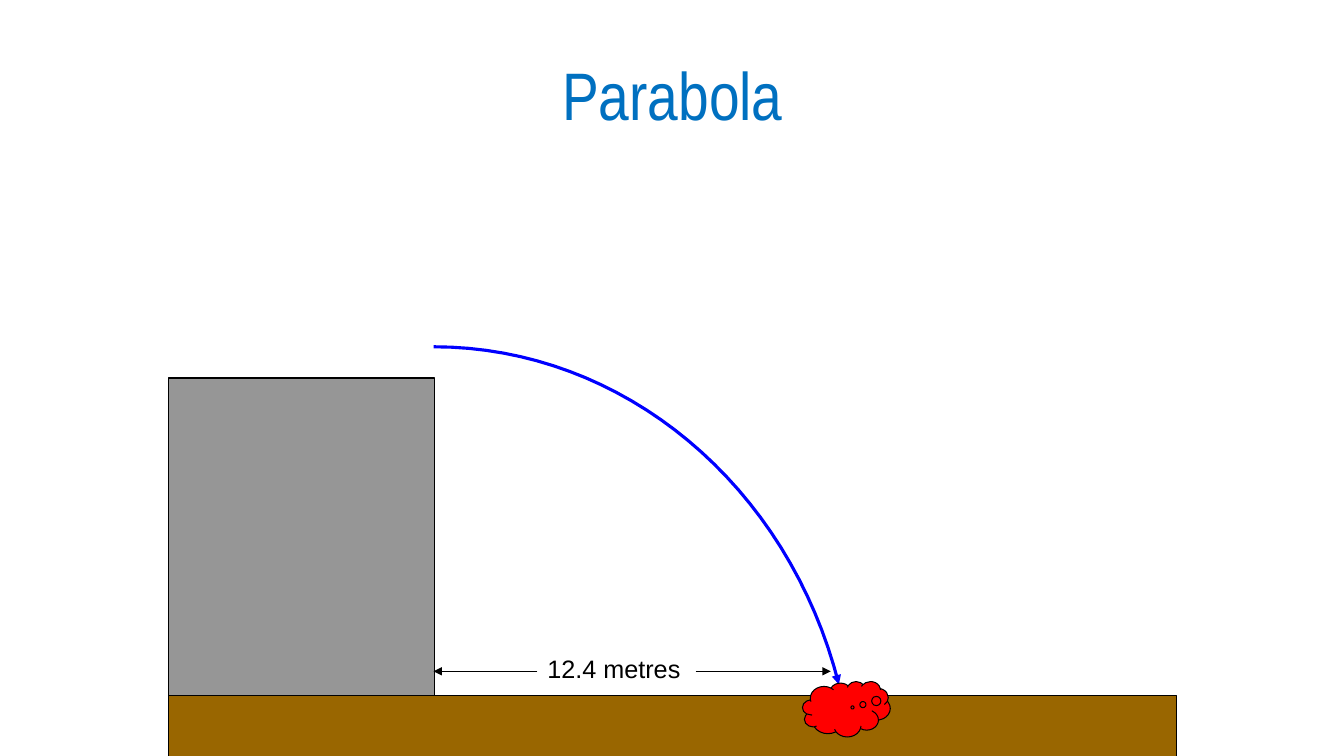
"""Builds a slide that shows a thrown body falling along a parabola."""
from dataclasses import dataclass

from lxml import etree
from pptx import Presentation
from pptx.dml.color import RGBColor
from pptx.enum.shapes import MSO_CONNECTOR, MSO_SHAPE
from pptx.enum.text import MSO_ANCHOR, MSO_AUTO_SIZE, PP_ALIGN
from pptx.oxml.ns import qn
from pptx.util import Pt

RECT, CLOUD = MSO_SHAPE.RECTANGLE, MSO_SHAPE.CLOUD_CALLOUT
STRAIGHT = MSO_CONNECTOR.STRAIGHT
MIDDLE, CENTER = MSO_ANCHOR.MIDDLE, PP_ALIGN.CENTER
NO_FIT = MSO_AUTO_SIZE.NONE
SCALE = 9144
TITLE_ONLY = 5
STEPS = 32


@dataclass(frozen=True)
class Theme:
    """Holds the colours, fonts and sizes of the slide."""
    title: str = "0070C0"
    ink: str = "000000"
    cliff: str = "969696"
    ground: str = "996600"
    flight: str = "0000FF"
    blast: str = "FF0000"
    head_font: str = "Arial Narrow"
    font: str = "Arial"
    head_size: int = 48
    size: int = 18
    thin: float = 0.75
    thick: float = 2.25


THEME = Theme()


def px(*values):
    """Turn px lengths into EMU."""
    return [round(value * SCALE) for value in values]


def apply(target, values):
    """Set each attribute in the dict on the target."""
    for name, value in values.items():
        setattr(target, name, value)


def stroke(line, color, width):
    """Give a line its colour and width."""
    line.color.rgb = RGBColor.from_string(color)
    line.width = Pt(width)


def add_tip(shape):
    """Put a triangle at the end of the line of a shape."""
    line = shape.line._get_or_add_ln()
    etree.SubElement(line, qn("a:tailEnd"), type="triangle")


def write(shape, text, font, size, color, frame, para):
    """Fill a shape with one formatted line of text."""
    body = shape.text_frame
    body.text = text
    apply(body, frame)
    first = body.paragraphs[0]
    apply(first, para)
    face = first.runs[0].font
    apply(face, {"name": font, "size": Pt(size)})
    face.color.rgb = RGBColor.from_string(color)


def add_title(slide, text, box):
    """Place and fill the title."""
    title = slide.shapes.title
    apply(title, dict(zip(("left", "top", "width", "height"), px(*box))))
    write(title, text, THEME.head_font, THEME.head_size, THEME.title,
          {"vertical_anchor": MIDDLE, "auto_size": NO_FIT},
          {"alignment": CENTER})


def add_label(slide, text, box):
    """Add a text box with one line."""
    label = slide.shapes.add_textbox(*px(*box))
    write(label, text, THEME.font, THEME.size, THEME.ink,
          {"word_wrap": True}, {})


def add_solid(slide, kind, box, color):
    """Add a filled shape with a thin outline."""
    shape = slide.shapes.add_shape(kind, *px(*box))
    shape.shadow.inherit = False
    shape.fill.solid()
    shape.fill.fore_color.rgb = RGBColor.from_string(color)
    stroke(shape.line, THEME.ink, THEME.thin)
    return shape


def add_arrow(slide, start, end):
    """Add a thin straight arrow."""
    arrow = slide.shapes.add_connector(STRAIGHT, *px(*start, *end))
    stroke(arrow.line, THEME.ink, THEME.thin)
    add_tip(arrow)
    etree.SubElement(arrow._element.spPr, qn("a:effectLst"))


def curve(knots, part):
    """Find the point at one part of a cubic curve."""
    rest = 1 - part
    weights = (rest ** 3, 3 * rest ** 2 * part, 3 * rest * part ** 2, part ** 3)
    return px(*(sum(w * v for w, v in zip(weights, axis))
                for axis in zip(*knots)))


def add_flight(slide, knots):
    """Draw the curved flight with an arrow at its end."""
    points = [curve(knots, step / STEPS) for step in range(STEPS + 1)]
    pen = slide.shapes.build_freeform(*points[0])
    pen.add_line_segments(points[1:], close=False)
    flight = pen.convert_to_shape()
    flight.shadow.inherit = False
    flight.fill.background()
    stroke(flight.line, THEME.flight, THEME.thick)
    add_tip(flight)


def main():
    """Build and save the slide."""
    deck = Presentation()
    apply(deck, dict(zip(("slide_width", "slide_height"), px(1333, 750))))
    slide = deck.slides.add_slide(deck.slide_layouts[TITLE_ONLY])
    add_title(slide, "Parabola", (67, 30, 1200, 125))
    add_solid(slide, RECT, (167, 375, 264, 315), THEME.cliff)
    add_solid(slide, RECT, (167, 690, 1000, 79), THEME.ground)
    add_flight(slide, ((430, 344), (618, 344), (782, 481), (832, 679)))
    add_label(slide, "12.4 metres", (533, 643, 189, 40))
    for start, end in ((690, 824), (533, 430)):
        add_arrow(slide, (start, 666), (end, 666))
    blast = add_solid(slide, CLOUD, (796, 676, 87, 55), THEME.blast)
    for index, value in enumerate((0.07, -0.03)):
        blast.adjustments[index] = value
    deck.save("out.pptx")


if __name__ == "__main__":
    main()
